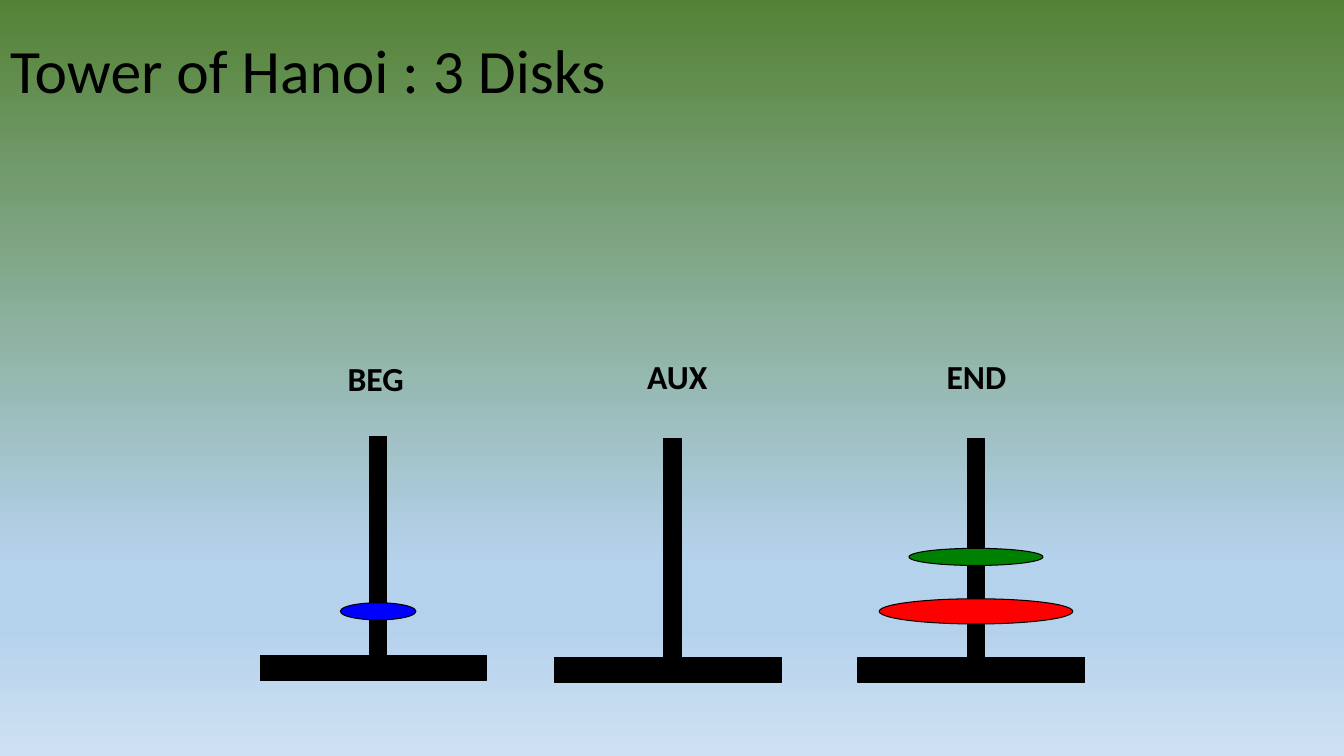
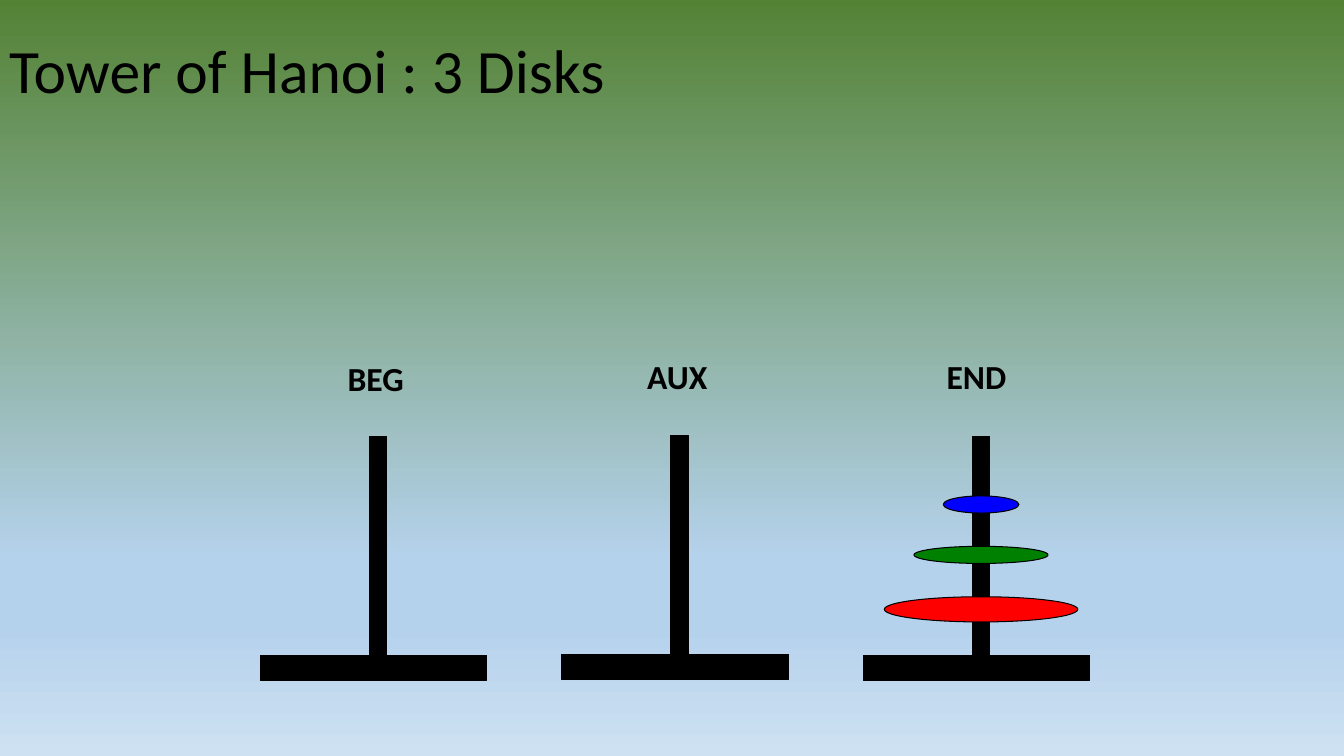
from lxml import etree
from pptx import Presentation, util as u
from pptx.dml.color import RGBColor
from pptx.enum import shapes, text
from pptx.oxml.ns import qn

INK = {
    "black": "000000", "red": "FF0000", "green": "008000", "blue": "0000FF",
    "grass": "548235", "sky": "B5D2EC", "haze": "CEE1F2",
}
FONT = "Calibri"
SKY = [(0, "grass"), (74, "sky"), (83, "sky"), (100, "haze")]
LABELS = [("BEG", 3.35, 3.5, 0.77), ("AUX", 6.32, 3.48, 0.86), ("END", 9.29, 3.48, 0.92)]

# Disk sizes: width, height
DISKS = {"red": (1.92, 0.25), "green": (1.33, 0.17), "blue": (0.75, 0.17)}

# Peg geometry, measured from the left top corner of the base
BASE_W, BASE_H = 2.25, 0.25
ROD_W, ROD_H = 0.17, 2.17
AXIS = 1.17
LIFT, STEP = 0.58, 0.5

# Each slide: title left, then pegs as (base left, base top, disks, lift of lowest disk)
SCENES = [
    (0, [(2.58, 6.5, ["blue"], 0.52),
         (5.5, 6.52, [], LIFT),
         (8.51, 6.52, ["red", "green"], LIFT)]),
    (-0.01, [(2.58, 6.5, [], LIFT),
             (5.57, 6.49, [], LIFT),
             (8.56, 6.5, ["red", "green", "blue"], LIFT)]),
]


def color(name):
    return RGBColor.from_string(INK[name])


def box(x, y, w, h):
    return [u.Inches(v) for v in (x, y, w, h)]


def style(para, size, bold=False):
    font = para.font
    font.name, font.size, font.bold = FONT, u.Pt(size), bold
    font.color.rgb = color("black")


def paint(master):
    """Give the master a vertical gradient with all its stops."""
    fill = master.background.fill
    fill.gradient()
    fill.gradient_angle = 270
    stops = master.element.find(".//" + qn("a:gsLst"))
    for old in list(stops):
        stops.remove(old)
    for pos, name in SKY:
        stop = etree.SubElement(stops, qn("a:gs"), pos=str(pos * 1000))
        etree.SubElement(stop, qn("a:srgbClr"), val=INK[name])


def add_title(slide, words, left):
    title = slide.shapes.title
    title.left, title.top, title.width, title.height = box(left, 0, 13.33, 1.45)
    frame = title.text_frame
    frame.text = words
    frame.auto_size = text.MSO_AUTO_SIZE.NONE
    frame.vertical_anchor = text.MSO_ANCHOR.MIDDLE
    para = frame.paragraphs[0]
    para.alignment = text.PP_ALIGN.LEFT
    para.line_spacing = 0.9
    style(para, 44)


def add_part(group, kind, name, *place):
    part = group.shapes.add_shape(kind, *box(*place))
    part.shadow.inherit = False
    part.fill.solid()
    part.fill.fore_color.rgb = color(name)
    part.line.color.rgb = color("black")
    part.line.width = u.Pt(0.75)


def add_peg(slide, left, top, disks, lift):
    group = slide.shapes.add_group_shape()
    mid = left + AXIS
    rect, oval = shapes.MSO_SHAPE.RECTANGLE, shapes.MSO_SHAPE.OVAL
    add_part(group, rect, "black", left, top, BASE_W, BASE_H)
    add_part(group, rect, "black", mid - ROD_W / 2, top - ROD_H, ROD_W, ROD_H)
    for i, name in enumerate(disks):
        w, h = DISKS[name]
        add_part(group, oval, name, mid - w / 2, top - lift - i * STEP, w, h)


def add_label(group, words, left, top, width):
    label = group.shapes.add_textbox(*box(left, top, width, 0.5))
    frame = label.text_frame
    frame.text = words
    frame.word_wrap = False
    frame.auto_size = text.MSO_AUTO_SIZE.SHAPE_TO_FIT_TEXT
    style(frame.paragraphs[0], 24, True)


def main():
    prs = Presentation()
    prs.slide_width, prs.slide_height = u.Inches(13.33), u.Inches(7.5)
    paint(prs.slide_master)
    for left, pegs in SCENES:
        slide = prs.slides.add_slide(prs.slide_layouts[5])
        add_title(slide, "Tower of Hanoi : 3 Disks", left)
        for peg in pegs:
            add_peg(slide, *peg)
        # Peg names
        names = slide.shapes.add_group_shape()
        for label in LABELS:
            add_label(names, *label)
    prs.save("out.pptx")


if __name__ == "__main__":
    main()
